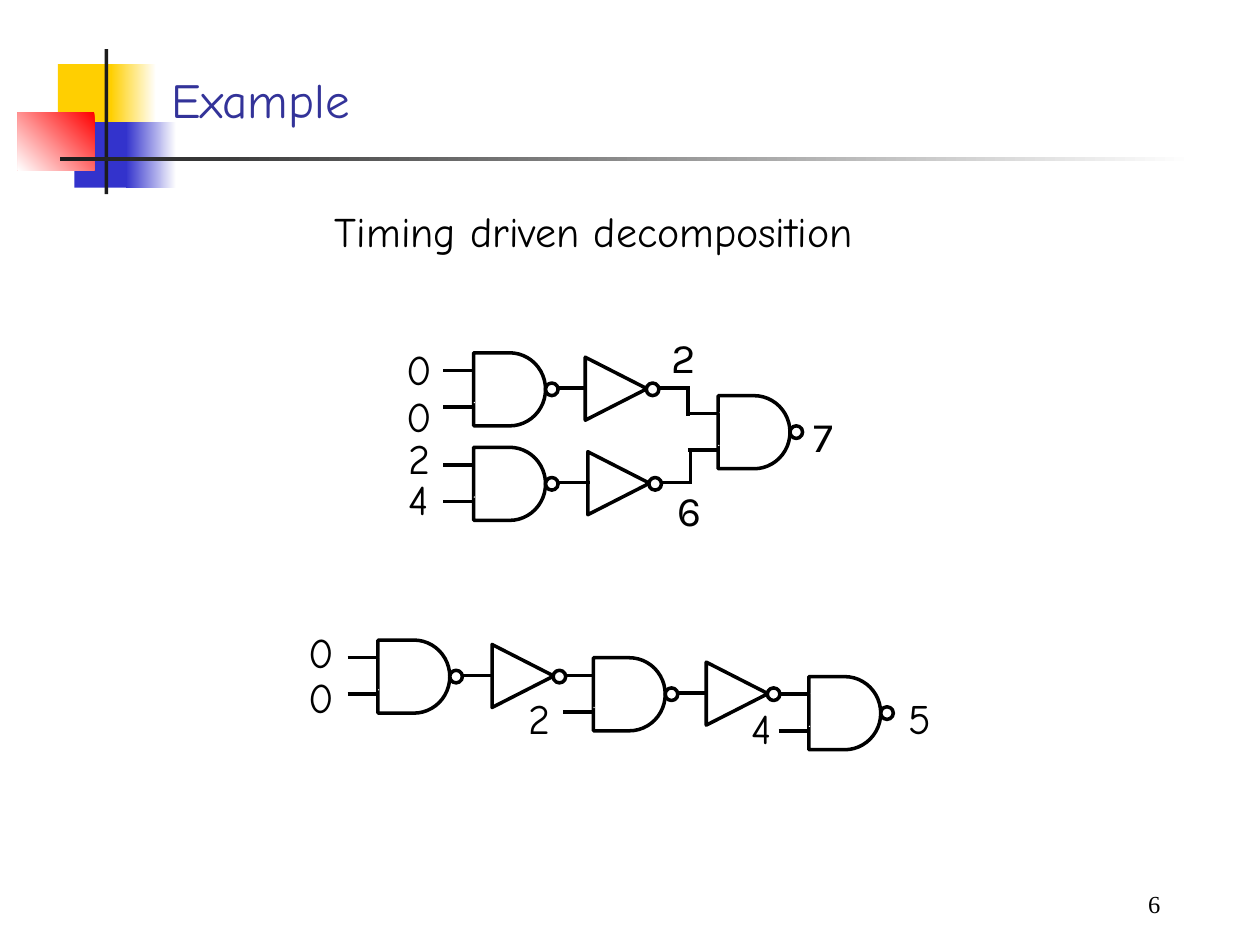
from dataclasses import dataclass

from lxml import etree
from pptx import Presentation
from pptx import util as u
from pptx.dml.color import RGBColor
from pptx.enum import shapes, text
from pptx.oxml.ns import qn

COLORS = {
    "black": "000000", "white": "FFFFFF", "title": "333399", "yellow": "FFCF01",
    "blue": "3333CC", "red": "FF0000", "rule": "1C1C1C",
}
HAND, SANS, SERIF = "Comic Neue", "Karla", "Times New Roman"
SHAPE = shapes.MSO_SHAPE


@dataclass
class Block:
    x: float
    y: float
    w: float
    h: float
    colors: tuple  # one colour, or the two ends of a gradient
    angle: float = 180


@dataclass
class Label:
    words: str
    x: float
    y: float
    w: float = 0.4
    h: float = 0.5
    font: str = HAND
    size: int = 24
    color: str = "black"


def rgb(name: str) -> RGBColor:
    return RGBColor.from_string(COLORS[name])


def add_block(parent, b: Block) -> None:
    sp = parent.add_shape(SHAPE.RECTANGLE, *map(u.Inches, (b.x, b.y, b.w, b.h)))
    sp.shadow.inherit = False
    sp.line.fill.background()
    if len(b.colors) == 1:
        sp.fill.solid()
        sp.fill.fore_color.rgb = rgb(b.colors[0])
        return
    sp.fill.gradient()
    sp.fill.gradient_angle = b.angle
    for position, (stop, name) in enumerate(zip(sp.fill.gradient_stops, b.colors)):
        stop.position = position
        stop.color.rgb = rgb(name)


def add_part(parent, kind: SHAPE, x: float, y: float, w: float, h: float,
             outlined: bool = True, rotation: float = 0) -> None:
    sp = parent.add_shape(kind, *map(u.Inches, (x, y, w, h)))
    sp.shadow.inherit = False
    sp.rotation = rotation
    sp.fill.solid()
    sp.fill.fore_color.rgb = rgb("white")
    if outlined:
        sp.line.color.rgb = rgb("black")
        sp.line.width = u.Pt(2)
    else:
        sp.line.fill.background()


def add_wire(parent, x1: float, y1: float, x2: float, y2: float) -> None:
    cx = parent.add_connector(shapes.MSO_CONNECTOR.STRAIGHT,
                              *map(u.Inches, (x1, y1, x2, y2)))
    cx.line.color.rgb = rgb("black")
    cx.line.width = u.Pt(2)
    etree.SubElement(cx._element.spPr, qn("a:effectLst"))


def add_nand(parent, x: float, y: float) -> None:
    add_part(parent, SHAPE.FLOWCHART_DELAY, x, y, 0.57, 0.58)
    add_part(parent, SHAPE.FLOWCHART_CONNECTOR, x + 0.57, y + 0.24, 0.1, 0.1)
    for dy in (0.13, 0.39):  # input pins
        add_part(parent, SHAPE.FLOWCHART_CONNECTOR, x, y + dy, 0.01, 0.01, outlined=False)
    for dy in (0.14, 0.43):  # input leads
        add_wire(parent, x - 0.24, y + dy, x + 0.01, y + dy)


def add_inverter(parent, x: float, y: float) -> None:
    add_part(parent, SHAPE.FLOWCHART_MERGE, x, y, 0.5, 0.49, rotation=270)
    add_part(parent, SHAPE.FLOWCHART_CONNECTOR, x + 0.49, y + 0.2, 0.1, 0.1)
    add_wire(parent, x - 0.23, y + 0.24, x + 0.02, y + 0.24)


def add_label(parent, label: Label):
    tb = parent.add_textbox(*map(u.Inches, (label.x, label.y, label.w, label.h)))
    tf = tb.text_frame
    tf.word_wrap = False
    tf.auto_size = text.MSO_AUTO_SIZE.NONE
    p = tf.paragraphs[0]
    r = p.add_run()
    r.text = label.words
    r.font.name = label.font
    r.font.size = u.Pt(label.size)
    r.font.color.rgb = rgb(label.color)
    return tf


def add_circuit(s, nands: list, inverters: list, wires: list, labels: list) -> None:
    parent = s.shapes.add_group_shape().shapes
    for place in nands:
        add_nand(parent, *place)
    for place in inverters:
        add_inverter(parent, *place)
    for ends in wires:
        add_wire(parent, *ends)
    for label in labels:
        add_label(parent, label)


DECORATION = [
    Block(0.46, 0.51, 0.48, 0.52, ("yellow",)),
    Block(0.88, 0.51, 0.36, 0.52, ("white", "yellow")),
    Block(0.59, 0.97, 0.46, 0.52, ("blue",)),
    Block(1.0, 0.97, 0.4, 0.52, ("white", "blue")),
    Block(0.14, 0.89, 0.61, 0.46, ("red", "white"), 225),
    Block(0.83, 0.39, 0.03, 1.15, ("rule",)),
    Block(0.48, 1.25, 9, 0.03, ("white", "rule")),
]


def main() -> None:
    prs = Presentation()
    prs.slide_width, prs.slide_height = u.Inches(10), u.Inches(7.5)
    s = prs.slides.add_slide(prs.slide_layouts[6])

    # Corner blocks and rules
    corner = s.shapes.add_group_shape().shapes
    for block in DECORATION:
        add_block(corner, block)

    # Title
    tf = add_label(s.shapes, Label("Example", 1.26, 0.22, 8.52, 0.85, size=28, color="title"))
    tf.word_wrap = True
    tf.vertical_anchor = text.MSO_ANCHOR.BOTTOM

    # Balanced tree
    add_circuit(
        s,
        nands=[(3.76, 2.8), (3.76, 3.55), (5.7, 3.14)],
        inverters=[(4.64, 2.84), (4.66, 3.59)],
        wires=[(5.23, 3.08, 5.48, 3.08), (5.24, 3.83, 5.49, 3.83),
               (5.46, 3.07, 5.46, 3.3), (5.48, 3.59, 5.48, 3.82)],
        labels=[Label("0", 3.13, 2.68), Label("0", 3.13, 3.05),
                Label("2", 3.14, 3.38), Label("4", 3.14, 3.71),
                Label("2", 5.23, 2.58, font=SANS), Label("6", 5.28, 3.8, font=SANS),
                Label("7", 6.36, 3.21, font=SANS)],
    )

    # Chain with the late inputs near the output
    add_circuit(
        s,
        nands=[(3.0, 5.08), (4.71, 5.22), (6.42, 5.37)],
        inverters=[(3.9, 5.12), (5.6, 5.26)],
        wires=[],
        labels=[Label("0", 2.35, 4.92), Label("0", 2.35, 5.28), Label("2", 4.1, 5.45),
                Label("4", 5.87, 5.53), Label("5", 7.11, 5.45)],
    )

    # Heading
    add_label(s.shapes, Label("Timing driven decomposition", 2.56, 1.58, 4.29))

    # Slide number
    tf = add_label(s.shapes, Label("6", 7.42, 6.92, 2.08, font=SERIF, size=14))
    tf.word_wrap = True
    tf.vertical_anchor = text.MSO_ANCHOR.MIDDLE
    tf.margin_left = tf.margin_top = tf.margin_bottom = 0
    tf.margin_right = u.Inches(0.29)
    tf.paragraphs[0].alignment = text.PP_ALIGN.RIGHT

    prs.save("out.pptx")


if __name__ == "__main__":
    main()
